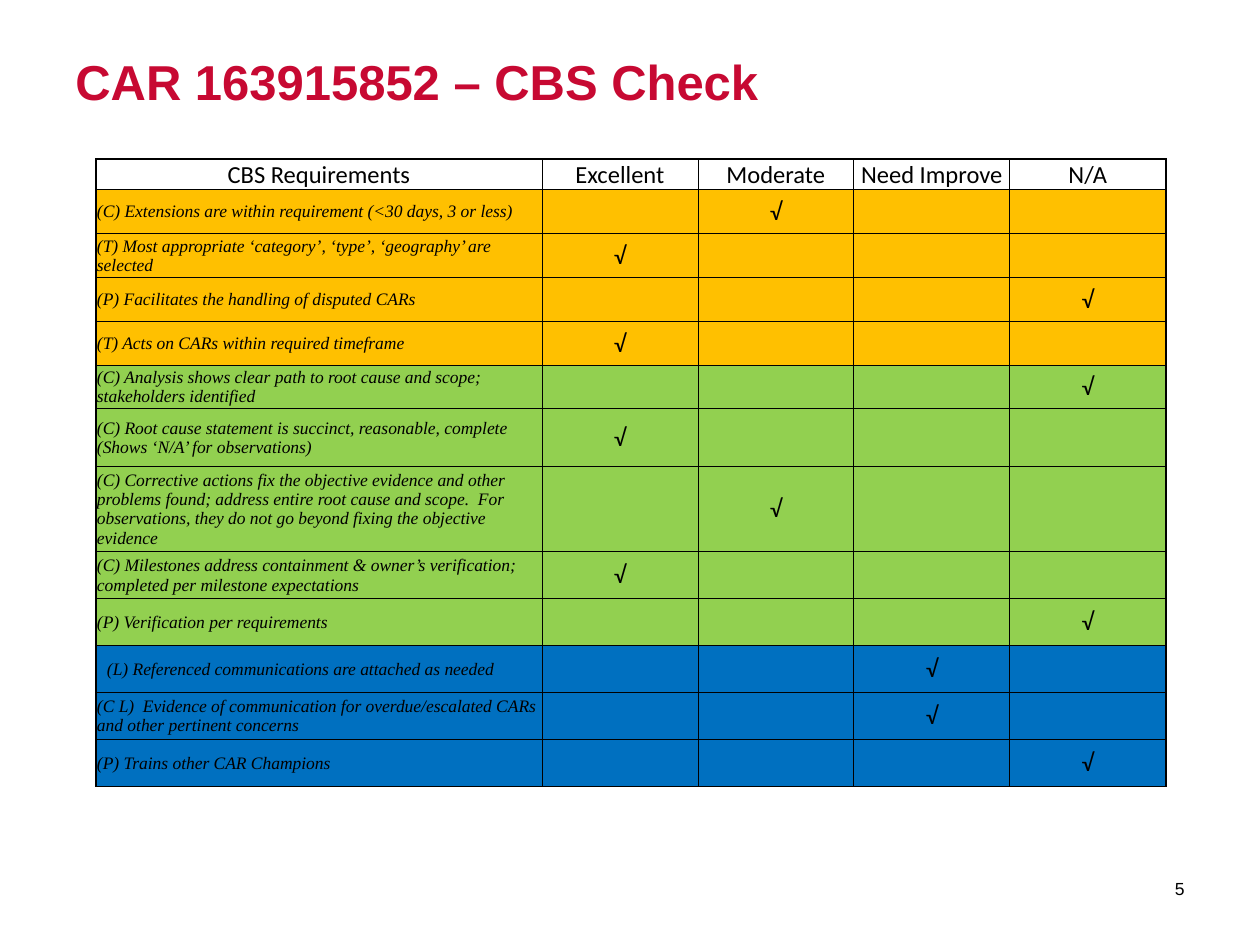
import pptx
import pptx.dml.color
import pptx.enum.text
import pptx.oxml
import pptx.oxml.ns
import pptx.util

EMU_PER_PX = 914400 // 126
ALIGN = pptx.enum.text.PP_ALIGN
ANCHOR = pptx.enum.text.MSO_ANCHOR
COLORS = {
    "title": "C70932",
    "ink": "000000",
    "orange": "FFC000",
    "green": "92D050",
    "blue": "0070C0",
}

RATINGS = ["Excellent", "Moderate", "Need Improve", "N/A"]
# Requirement, its rating, its band colour and its row height in px
REQUIREMENTS = [
    ("(C) Extensions are within requirement (<30 days, 3 or less)", "Moderate", "orange", 44),
    ("(T) Most appropriate ‘category’, ‘type’, ‘geography’ are selected", "Excellent", "orange", 44),
    ("(P) Facilitates the handling of disputed CARs", "N/A", "orange", 44),
    ("(T) Acts on CARs within required timeframe", "Excellent", "orange", 44),
    ("(C) Analysis shows clear path to root cause and scope; stakeholders identified",
     "N/A", "green", 42),
    ("(C) Root cause statement is succinct, reasonable, complete (Shows ‘N/A’ for observations)",
     "Excellent", "green", 58),
    ("(C) Corrective actions fix the objective evidence and other problems found; address entire "
     "root cause and scope.  For observations, they do not go beyond fixing the objective evidence",
     "Moderate", "green", 63),
    ("(C) Milestones address containment & owner’s verification; completed per milestone expectations",
     "Excellent", "green", 47),
    ("(P) Verification per requirements", "N/A", "green", 47),
    ("(L) Referenced communications are attached as needed", "Need Improve", "blue", 47),
    ("(C L)  Evidence of communication for overdue/escalated CARs and other pertinent concerns",
     "Need Improve", "blue", 47),
    ("(P) Trains other CAR Champions", "N/A", "blue", 47),
]
INDENTED_ROW = 10
HEADER_HEIGHT = 26


def px(length):
    return pptx.util.Emu(length * EMU_PER_PX)


def rgb(name):
    return pptx.dml.color.RGBColor.from_string(COLORS[name])


def write_text(frame, text, size=10, font="Arial", color="ink", bold=False,
               italic=False, align=ALIGN.LEFT):
    para = frame.paragraphs[0]
    para.alignment = align
    span = para.add_run()
    span.text = text
    span.font.size = pptx.util.Pt(size)
    span.font.name = font
    span.font.bold = bold
    span.font.italic = italic
    span.font.color.rgb = rgb(color)


def add_text_box(page, left, top, width, height, text, anchor=ANCHOR.TOP,
                 margin_top=6, **text_format):
    box = page.shapes.add_textbox(px(left), px(top), px(width), px(height))
    frame = box.text_frame
    frame.word_wrap = True
    frame.vertical_anchor = anchor
    frame.margin_top = px(margin_top)
    write_text(frame, text, **text_format)


def add_border(cell, side, points):
    """Draw one side of a cell, named L, R, T or B."""
    width = int(pptx.util.Pt(points))
    cell._tc.get_or_add_tcPr().append(pptx.oxml.parse_xml(
        f'<a:ln{side} {pptx.oxml.ns.nsdecls("a")} w="{width}"><a:solidFill>'
        f'<a:srgbClr val="{COLORS["ink"]}"/></a:solidFill></a:ln{side}>'))


def style_cell(cell, outer_sides, band=None, anchor=ANCHOR.MIDDLE, margin_left=1):
    cell.margin_left = px(margin_left)
    cell.margin_top = cell.margin_right = px(1)
    cell.margin_bottom = 0
    cell.vertical_anchor = anchor
    for side in "LRTB":
        add_border(cell, side, 1 if side in outer_sides else 0.5)
    if band:
        cell.fill.solid()
        cell.fill.fore_color.rgb = rgb(band)
    else:
        cell.fill.background()


def add_check_table(page):
    heights = [HEADER_HEIGHT] + [height for *_, height in REQUIREMENTS]
    widths = [446] + [156] * len(RATINGS)
    last_row, last_column = len(heights) - 1, len(widths) - 1
    holder = page.shapes.add_table(len(heights), len(widths), px(96), px(159),
                                   px(sum(widths)), px(sum(heights)))
    table = holder.table
    table.first_row = table.horz_banding = False
    for column, width in zip(table.columns, widths):
        column.width = px(width)
    for row, height in zip(table.rows, heights):
        row.height = px(height)
    holder.height = px(627)

    def outer_sides(row, column):
        edges = {"L": column == 0, "R": column == last_column,
                 "T": row == 0, "B": row == last_row}
        return [side for side, is_outer in edges.items() if is_outer]

    mark_format = {"size": 14, "font": "Calibri", "align": ALIGN.CENTER}
    for column, heading in enumerate(["CBS Requirements"] + RATINGS):
        cell = table.cell(0, column)
        style_cell(cell, outer_sides(0, column), anchor=ANCHOR.BOTTOM)
        write_text(cell.text_frame, heading, **mark_format)
    for row, (requirement, rating, band, _) in enumerate(REQUIREMENTS, start=1):
        for column in range(len(widths)):
            indented = row == INDENTED_ROW and column == 0
            style_cell(table.cell(row, column), outer_sides(row, column), band,
                       margin_left=11 if indented else 1)
        write_text(table.cell(row, 0).text_frame, requirement,
                   font="Times New Roman", italic=True)
        rated_cell = table.cell(row, 1 + RATINGS.index(rating))
        write_text(rated_cell.text_frame, "√", **mark_format)


def main():
    deck = pptx.Presentation()
    deck.slide_width, deck.slide_height = px(1260), px(945)
    page = deck.slides.add_slide(deck.slide_layouts[6])
    add_text_box(page, 63, 38, 1134, 157, "CAR 163915852 – CBS Check",
                 margin_top=13, size=28, color="title", bold=True)
    add_text_box(page, 1109, 864, 88, 50, "5", anchor=ANCHOR.MIDDLE, align=ALIGN.RIGHT)
    add_check_table(page)
    deck.save("out.pptx")


if __name__ == "__main__":
    main()
